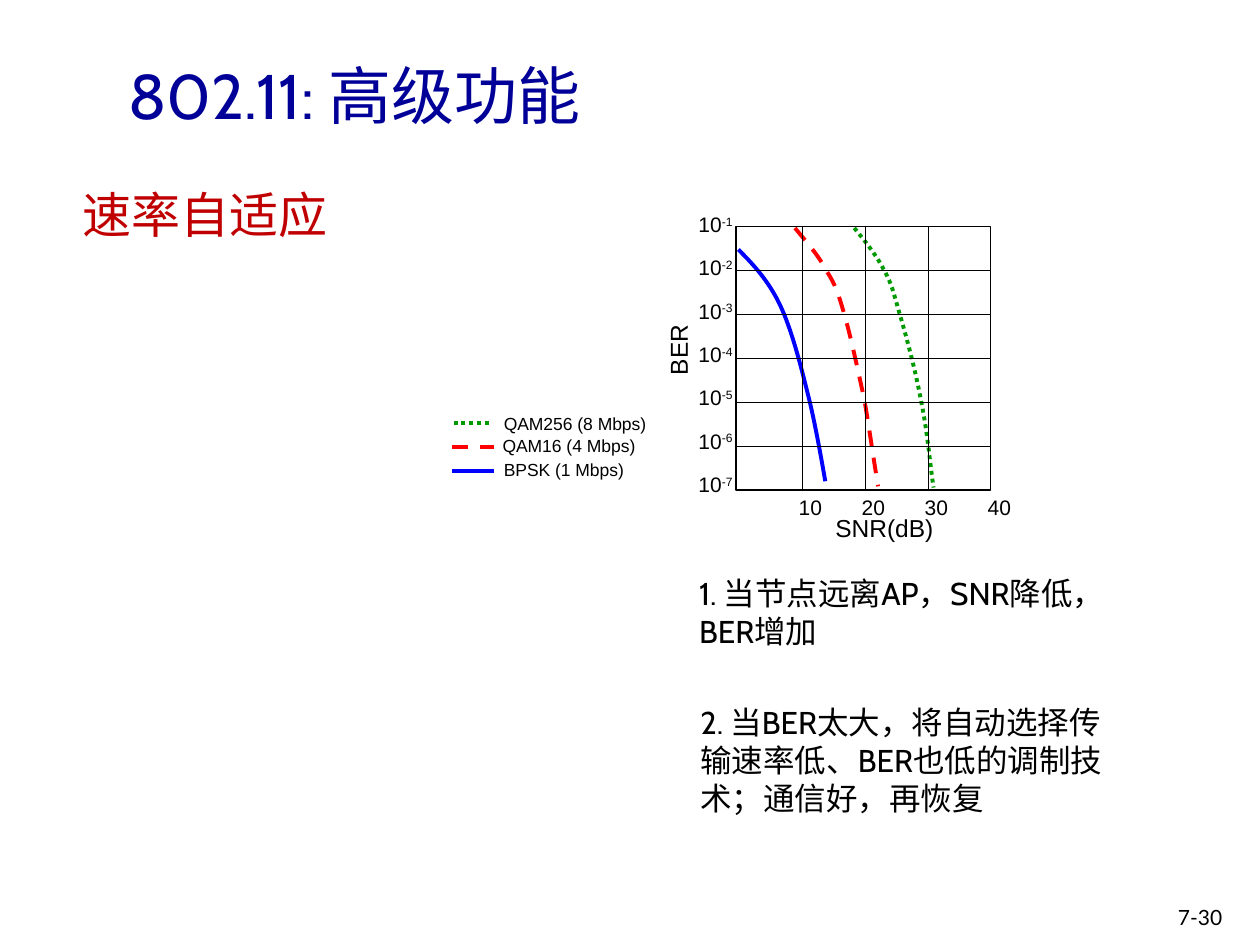
from lxml.etree import SubElement
from pptx import Presentation
from pptx.dml.color import RGBColor
from pptx.enum.dml import MSO_LINE_DASH_STYLE as Dash
from pptx.enum.shapes import MSO_CONNECTOR_TYPE as Connector, MSO_SHAPE as Shape
from pptx.enum.text import MSO_ANCHOR as Anchor, MSO_AUTO_SIZE as AutoSize
from pptx.oxml.ns import qn
from pptx.util import Pt

BLACK = RGBColor(0x00, 0x00, 0x00)
NAVY = RGBColor(0x00, 0x00, 0x99)
CRIMSON = RGBColor(0xC0, 0x00, 0x00)
BLUE = RGBColor(0x00, 0x00, 0xFF)
RED = RGBColor(0xFF, 0x00, 0x00)
GREEN = RGBColor(0x00, 0x99, 0x00)

PLOT_LEFT, PLOT_TOP, PLOT_WIDTH, PLOT_HEIGHT = 420.5, 129.6, 145.5, 150.5
DECADES = 6
ROW_STEP = PLOT_HEIGHT / DECADES
FIRST_COLUMN, COLUMN_STEP = 458.6, 36

SERIES = [
    ("BPSK (1 Mbps)", BLUE, None, (258.5, 282.2, 269.3), (280.8, 258.5, 82.8), [
        (421.9, 142.6), (430.6, 151.2), (439.2, 160.6), (445.7, 174.2),
        (452.2, 187.9), (457.2, 207.4), (461.5, 224.6),
        (465.8, 241.2), (470.2, 267.1), (471.6, 275)]),
    ("QAM16 (4 Mbps)", RED, Dash.DASH, (258.5, 282.2, 255.6), (280.1, 244.8, 90.7), [
        (454.3, 130.3), (460.8, 138.2), (468, 146.2), (472.3, 154.8),
        (477.4, 162.7), (478.8, 167), (482.4, 179.3),
        (486, 191.5), (490.3, 211.7), (493.9, 228.2),
        (496.8, 244.8), (499, 261.4), (501.8, 277.9)]),
    ("QAM256 (8 Mbps)", GREEN, Dash.ROUND_DOT, (259.2, 280.8, 241.9), (280.8, 232.6, 95.8), [
        (488.2, 130.3), (494.6, 138.2), (501.1, 146.2), (505.4, 154.8),
        (509.8, 162.7), (510.5, 167), (514.1, 179.3),
        (517.7, 191.5), (523.4, 212.4), (526.3, 229),
        (529.9, 245.5), (532.1, 270.7), (533.5, 278.6)]),
]

NOTES = [
    ("1. 当节点远离AP，SNR降低，BER增加", (392.4, 324.7, 252, 51.1)),
    ("2. 当BER太大，将自动选择传输速率低、BER也低的调制技术；通信好，再恢复",
     (393.1, 398.2, 252, 72.7)),
]


def style_font(font, name, size, color):
    font.name = name
    font.size = Pt(size)
    font.color.rgb = color


def add_text(slide, text, box, size, font="Arial", color=BLACK, wrap=False, grow=True):
    shape = slide.shapes.add_textbox(*map(Pt, box))
    frame = shape.text_frame
    frame.word_wrap = wrap
    frame.auto_size = AutoSize.SHAPE_TO_FIT_TEXT if grow else AutoSize.NONE
    paragraph = frame.paragraphs[0]
    paragraph.add_run().text = text
    style_font(paragraph.font, font, size, color)
    return shape


def style_line(line, color, width, dash=None):
    line.color.rgb = color
    line.width = Pt(width)
    if dash is not None:
        line.dash_style = dash


def add_line(slide, start, end, color=BLACK, width=0.75, dash=None):
    connector = slide.shapes.add_connector(Connector.STRAIGHT, *map(Pt, (*start, *end)))
    style_line(connector.line, color, width, dash)
    SubElement(connector.element.spPr, qn("a:effectLst"))
    return connector


def turn_segments_into_beziers(curve):
    segments = list(curve.element.iter(qn("a:lnTo")))
    for i in range(0, len(segments), 3):
        first, second, third = segments[i:i + 3]
        first.tag = qn("a:cubicBezTo")
        for segment in (second, third):
            first.append(segment[0])
            segment.getparent().remove(segment)


def add_curve(slide, points, color, dash):
    start, *rest = [tuple(map(Pt, point)) for point in points]
    builder = slide.shapes.build_freeform(*start)
    builder.add_line_segments(rest, close=False)
    curve = builder.convert_to_shape()
    turn_segments_into_beziers(curve)
    curve.shadow.inherit = False
    curve.fill.background()
    style_line(curve.line, color, 2.25, dash)


def add_grid(slide):
    plot = slide.shapes.add_shape(
        Shape.RECTANGLE, *map(Pt, (PLOT_LEFT, PLOT_TOP, PLOT_WIDTH, PLOT_HEIGHT)))
    plot.shadow.inherit = False
    plot.fill.background()
    style_line(plot.line, BLACK, 0.75)
    for row in range(1, DECADES):
        y = PLOT_TOP + row * ROW_STEP
        line = add_line(slide, (PLOT_LEFT, y), (PLOT_LEFT + PLOT_WIDTH, y))
        if row * 2 == DECADES:
            line.begin_connect(plot, 1)
            line.end_connect(plot, 3)
    for column in range(3):
        x = FIRST_COLUMN + column * COLUMN_STEP
        add_line(slide, (x, PLOT_TOP), (x, PLOT_TOP + PLOT_HEIGHT))


def add_axis_labels(slide):
    for column in range(4):
        left = 449.3 + column * COLUMN_STEP
        add_text(slide, str(10 * (column + 1)), (left, 279, 28, 21.6), 12)
    add_text(slide, "SNR(dB)", (470.2, 289.4, 70.6, 23.8), 14)
    add_text(slide, "BER", (365.8, 187.9, 43.2, 23.8), 14).rotation = 270
    for row in range(DECADES + 1):
        label = add_text(slide, "10", (392, 117.4 + row * 24.75, 34.6, 21.6), 12)
        exponent = label.text_frame.paragraphs[0].add_run()
        exponent.text = f"-{row + 1}"
        exponent.font._element.set("baseline", "30000")


def add_note(slide, text, box):
    shape = add_text(slide, text, box, 18, "Cabin", wrap=True)
    properties = shape.text_frame.paragraphs[0]._p.get_or_add_pPr()
    properties.set("hangingPunct", "0")


def add_title(slide):
    shape = add_text(slide, "802.11: ", (66.2, 20.9, 612, 66.2), 36, "Cabin", NAVY,
                     wrap=True, grow=False)
    shape.text_frame.vertical_anchor = Anchor.MIDDLE
    run = shape.text_frame.paragraphs[0].add_run()
    run.text = "高级功能"
    run.font.name = "Noto Sans CJK SC"


def add_heading(slide):
    shape = add_text(slide, "速率自适应", (40.3, 107.3, 295.2, 365.8), 28, "Cabin", CRIMSON,
                     wrap=True, grow=False)
    paragraph = shape.text_frame.paragraphs[0]
    paragraph.line_spacing = 0.85
    paragraph.space_before = Pt(5.6)


def main():
    presentation = Presentation()
    presentation.slide_width, presentation.slide_height = Pt(720), Pt(540)
    slide = presentation.slides.add_slide(presentation.slide_layouts[6])
    add_heading(slide)
    for name, color, dash, (start, end, y), (left, top, width), points in SERIES:
        add_line(slide, (start, y), (end, y), color, 2.25, dash)
        add_text(slide, name, (left, top, width, 19.4), 10)
        add_curve(slide, points, color, dash)
    add_grid(slide)
    add_axis_labels(slide)
    for text, box in NOTES:
        add_note(slide, text, box)
    add_text(slide, "7-30", (666, 513.4, 54, 21.6), 12, "Lato", wrap=True, grow=False)
    add_title(slide)
    presentation.save("out.pptx")


if __name__ == "__main__":
    main()
